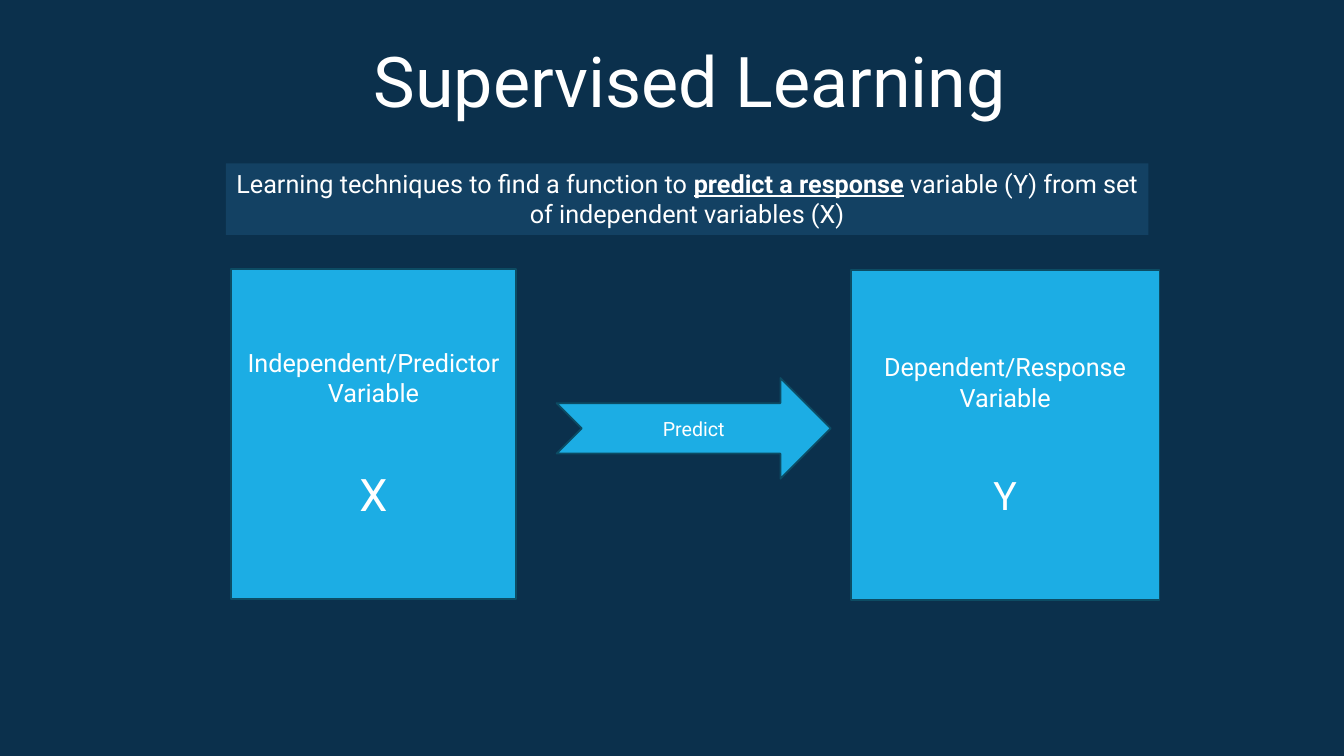
from pptx import Presentation
from pptx.dml.color import RGBColor
from pptx.enum.shapes import MSO_SHAPE as SHAPE
from pptx.enum.text import MSO_ANCHOR as ANCHOR, PP_ALIGN as ALIGN
from pptx.util import Inches, Pt

COLORS = {
    "background": "0B304C",
    "banner": "134163",
    "block": "1CADE4",
    "outline": "0C4C64",
    "text": "FFFFFF",
}


def style_run(span, size):
    span.font.name = "Roboto"
    span.font.size = Pt(size)
    span.font.color.rgb = RGBColor.from_string(COLORS["text"])


def add_block(kind, left, top, width, height, fill, outline=None):
    box = page.shapes.add_shape(
        kind, Inches(left), Inches(top), Inches(width), Inches(height))
    box.shadow.inherit = False
    box.fill.solid()
    box.fill.fore_color.rgb = RGBColor.from_string(COLORS[fill])
    if outline:
        box.line.color.rgb = RGBColor.from_string(COLORS[outline])
        box.line.width = Pt(1.25)
    else:
        box.line.fill.background()
    box.text_frame.word_wrap = True
    return box


deck = Presentation()
deck.slide_width = Inches(13.33)
deck.slide_height = Inches(7.5)
page = deck.slides.add_slide(deck.slide_layouts[6])
page.background.fill.solid()
page.background.fill.fore_color.rgb = RGBColor.from_string(COLORS["background"])

title = page.shapes.add_textbox(Inches(3.61), Inches(0.32), Inches(6.53), Inches(0.94))
title.text_frame.word_wrap = False
title.text_frame.text = "Supervised Learning"
style_run(title.text_frame.paragraphs[0].runs[0], 50)

banner = add_block(SHAPE.RECTANGLE, 2.24, 1.62, 9.15, 0.71, "banner")
banner.text_frame.vertical_anchor = ANCHOR.TOP
definition = banner.text_frame.paragraphs[0]
definition.alignment = ALIGN.CENTER
for words, emphasis in [
    ("Learning techniques to find a function to ", False),
    ("predict a response", True),
    (" variable (Y) from set of independent variables (X)", False),
]:
    span = definition.add_run()
    span.text = words
    style_run(span, 18)
    span.font.bold = emphasis
    span.font.underline = emphasis

blocks = [
    (SHAPE.RECTANGLE, 2.29, 2.67, 2.83, 3.27,
     [("Independent/Predictor Variable", 18, 0), ("X", 32, 42)]),
    (SHAPE.RECTANGLE, 8.44, 2.68, 3.06, 3.27,
     [("Dependent/Response", 18, 0), ("Variable", 18, 0), ("Y", 28, 42)]),
    (SHAPE.NOTCHED_RIGHT_ARROW, 5.52, 3.75, 2.72, 1, [("Predict", 14, 0)]),
]
for kind, left, top, width, height, lines in blocks:
    box = add_block(kind, left, top, width, height, "block", "outline")
    box.text_frame.vertical_anchor = ANCHOR.MIDDLE
    box.text_frame.text = "\n".join(words for words, size, gap in lines)
    for para, (words, size, gap) in zip(box.text_frame.paragraphs, lines):
        para.alignment = ALIGN.CENTER
        if gap:
            para.space_before = Pt(gap)
        style_run(para.runs[0], size)

deck.save("out.pptx")
